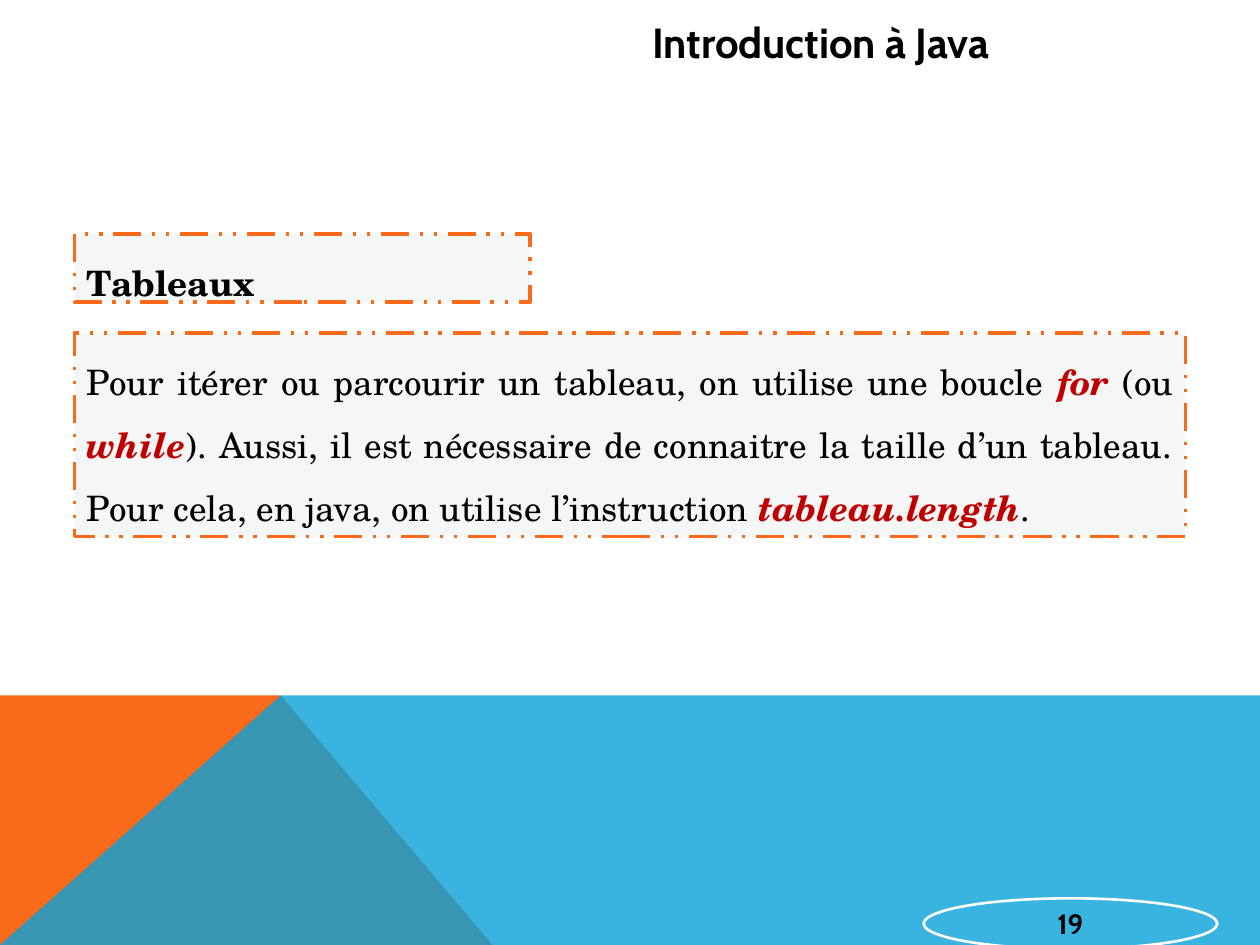
import pptx
import pptx.dml.color
import pptx.enum.dml
import pptx.enum.shapes
import pptx.enum.text
import pptx.oxml.ns
import pptx.util
from lxml import etree

Cm, Pt = pptx.util.Cm, pptx.util.Pt
ALIGN = pptx.enum.text.PP_ALIGN
ANCHOR = pptx.enum.text.MSO_ANCHOR
SHAPE = pptx.enum.shapes.MSO_SHAPE
WIDTH, HEIGHT = 25.4, 19.05
COLORS = {
    "orange": "F96A1B",
    "blue": "08A1D9",
    "pale": "F5F7F7",
    "red": "C00000",
    "black": "000000",
    "white": "FFFFFF",
}


def color(name):
    return pptx.dml.color.RGBColor.from_string(COLORS[name])


def write(frame, text, font="Cabin", size=20, bold=False, align=ALIGN.LEFT,
          space=1.0, anchor=ANCHOR.TOP, inset=None, grow=True):
    """Fill a frame with text; parts between * marks are key words."""
    frame.word_wrap = True
    frame.vertical_anchor = anchor
    fit = pptx.enum.text.MSO_AUTO_SIZE
    frame.auto_size = fit.SHAPE_TO_FIT_TEXT if grow else fit.NONE
    if inset is not None:
        frame.margin_left = frame.margin_right = Cm(inset)
        frame.margin_top = frame.margin_bottom = Cm(inset)
    para = frame.paragraphs[0]
    para.alignment = align
    para.line_spacing = space
    for i, part in enumerate(text.split("*")):
        key = i % 2 == 1
        run = para.add_run()
        run.text = part
        run.font.name = font
        run.font.size = Pt(size)
        run.font.bold = bold or key
        run.font.italic = key
        run.font.color.rgb = color("red" if key else "black")


class Deck:
    """Holds the style and the current slide."""

    serif = "TeX Gyre Schola"

    def __init__(self):
        self.file = pptx.Presentation()
        self.file.slide_width = Cm(WIDTH)
        self.file.slide_height = Cm(HEIGHT)
        self.slide = self.file.slides.add_slide(self.file.slide_layouts[6])

    def shape(self, kind, box, line, width):
        item = self.slide.shapes.add_shape(kind, *map(Cm, box))
        item.shadow.inherit = False
        item.line.color.rgb = color(line)
        item.line.width = Pt(width)
        return item

    def patch(self, points, fill, alpha=None):
        start, *rest = [(Cm(x), Cm(y)) for x, y in points]
        build = self.slide.shapes.build_freeform(*start)
        build.add_line_segments(rest, close=True)
        item = build.convert_to_shape()
        item.shadow.inherit = False
        item.line.fill.background()
        item.fill.solid()
        item.fill.fore_color.rgb = color(fill)
        if alpha is not None:
            qn = pptx.oxml.ns.qn
            tone = item.element.spPr.find(".//" + qn("a:srgbClr"))
            etree.SubElement(tone, qn("a:alpha"), val=str(alpha * 1000))

    def card(self, box, text, bold=False):
        item = self.shape(SHAPE.RECTANGLE, box, "orange", 2)
        item.fill.solid()
        item.fill.fore_color.rgb = color("pale")
        item.line.dash_style = pptx.enum.dml.MSO_LINE.DASH_DOT_DOT
        write(item.text_frame, text, font=self.serif, bold=bold,
              align=ALIGN.JUSTIFY, space=1.5)

    def title(self, box, text):
        item = self.slide.shapes.add_textbox(*map(Cm, box))
        write(item.text_frame, text, size=24, bold=True, space=0.9)

    def badge(self, box, text):
        item = self.shape(SHAPE.OVAL, box, "white", 1.5)
        item.fill.background()
        write(item.text_frame, text, size=16, bold=True, align=ALIGN.CENTER,
              anchor=ANCHOR.MIDDLE, inset=0.03, grow=False)


def main():
    deck = Deck()

    # Bottom band: orange wedge under a clear blue sheet
    top, peak, foot = 14.02, 5.66, 9.93
    deck.patch([(0, HEIGHT), (0, top), (peak, top), (foot, HEIGHT)], "orange")
    deck.patch([(0, HEIGHT), (peak, top), (WIDTH, top), (WIDTH, HEIGHT)],
               "blue", alpha=80)

    # Heading and page number
    deck.title((12.9, 0.33, 9.6, 1.17), "Introduction à Java")
    deck.badge((18.62, 18.11, 5.92, 1.02), "19")

    # Topic and body cards share a left edge
    left = 1.5
    deck.card((left, 4.72, 9.19, 1.37), "Tableaux", bold=True)
    deck.card((left, 6.71, WIDTH - 2 * left, 4.11),
              "Pour itérer ou parcourir un tableau, on utilise une boucle "
              "*for *(ou *while*). Aussi, il est nécessaire de connaitre la "
              "taille d’un tableau. Pour cela, en java, on utilise "
              "l’instruction *tableau.length*.")

    deck.file.save("out.pptx")


if __name__ == "__main__":
    main()
